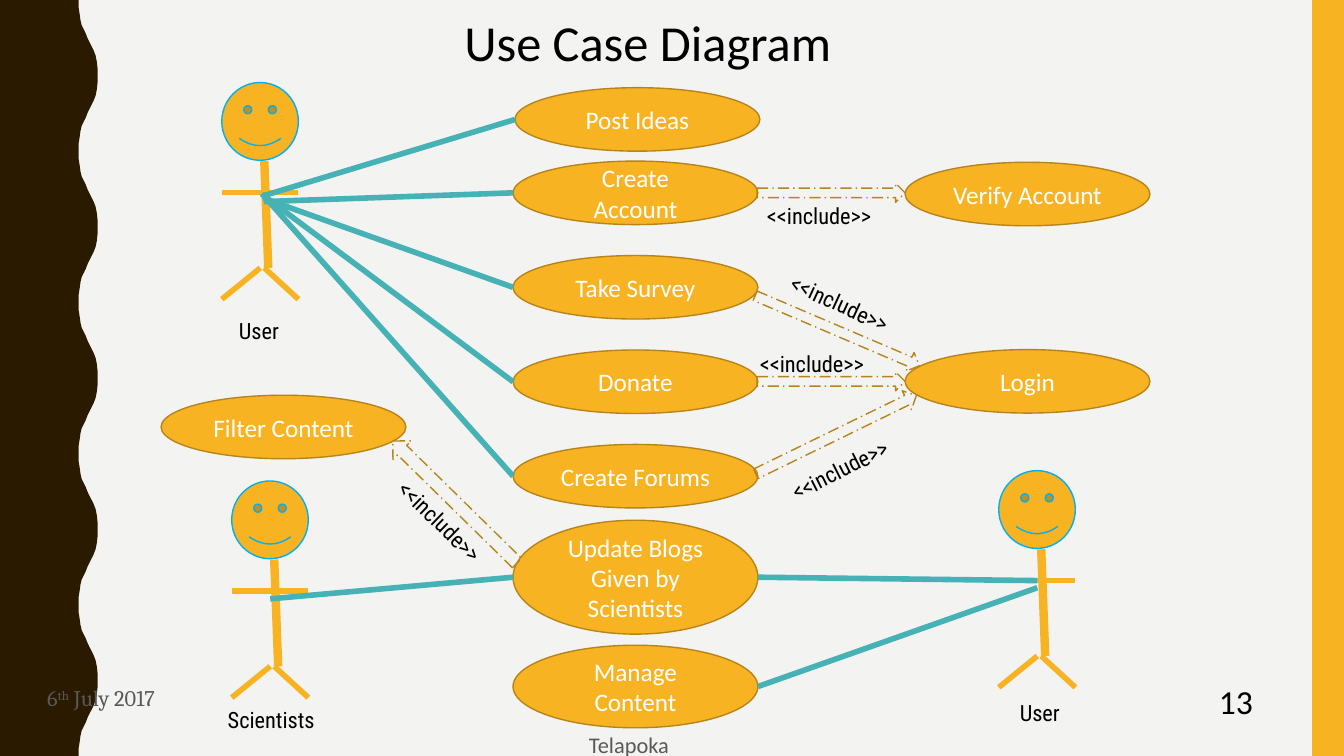
from pptx import Presentation
from pptx import util as u
from pptx.dml import color
from pptx.enum import dml, shapes, text
from pptx.oxml import xmlchemy

GOLD, RIM, TEAL, SKY = "F8B323", "B7841A", "46B2B5", "00B0F0"
BLACK, WHITE, GRAY, BROWN, PAPER = "000000", "FFFFFF", "595959", "2A1A00", "F3F3F2"
MAIN, NARROW, SERIF = "Calibri", "Roboto Condensed", "Cambria"
KIND = shapes.MSO_SHAPE
MID = text.PP_ALIGN.CENTER


def rgb(code):
    return color.RGBColor.from_string(code)


class Board:
    def __init__(self, deck):
        self.slide = deck.slides.add_slide(deck.slide_layouts[5])
        self.items = self.slide.shapes
        back = self.slide.background.fill
        back.solid()
        back.fore_color.rgb = rgb(PAPER)

    def style(self, item, fill=None, rim=None):
        item.shadow.inherit = False
        if fill:
            item.fill.solid()
            item.fill.fore_color.rgb = rgb(fill)
        else:
            item.fill.background()
        if rim:
            item.line.color.rgb = rgb(rim)
            item.line.width = u.Pt(1)
        else:
            item.line.fill.background()

    def letter(self, item, words, size, font, tint, align=None, wrap=True):
        frame = item.text_frame
        frame.text = words
        frame.word_wrap = wrap
        para = frame.paragraphs[0]
        para.alignment = align
        for run in para.runs:
            self.ink(run, size, font, tint)
        return para

    def ink(self, run, size, font, tint):
        run.font.size = u.Pt(size)
        run.font.name = font
        run.font.color.rgb = rgb(tint)

    def title(self, words, x, y, w, h):
        item = self.items.title
        item.left, item.top, item.width, item.height = map(u.Cm, (x, y, w, h))
        self.letter(item, words, 36, MAIN, BLACK, MID, False)

    def shape(self, kind, x, y, w, h, fill=None, rim=None):
        item = self.items.add_shape(kind, u.Cm(x), u.Cm(y), u.Cm(w), u.Cm(h))
        self.style(item, fill, rim)
        return item

    def wave(self):
        curve = [(1.98, 0), (1.98, 0.18), (2.01, 0.36), (2.03, 0.51), (2.06, 0.64),
                 (2.11, 0.74), (2.16, 0.84), (2.21, 0.97), (2.26, 1.07), (2.31, 1.17),
                 (2.36, 1.27), (2.41, 1.4), (2.44, 1.55), (2.46, 1.73), (2.46, 1.91)]
        full = curve + [(x, 3.81 - y) for x, y in curve[-2::-1]]
        edge = [(x, y + 3.81 * turn) for turn in range(5) for x, y in full]
        spots = [(u.Cm(x), u.Cm(y)) for x, y in edge + [(0, 19.05)]]
        form = self.items.build_freeform(0, 0)
        form.add_line_segments(spots, close=True)
        self.style(form.convert_to_shape(), BROWN)

    def oval(self, words, x, y, h=1.6):
        item = self.shape(KIND.OVAL, x, y, 6.17, h, GOLD, RIM)
        item.text_frame.vertical_anchor = text.MSO_ANCHOR.MIDDLE
        self.letter(item, words, 18, MAIN, WHITE, MID)
        return item

    def line(self, start, end, tint, width=4):
        item = self.items.add_connector(shapes.MSO_CONNECTOR.STRAIGHT, *start, *end)
        item.line.color.rgb = rgb(tint)
        item.line.width = u.Pt(width)
        glow = xmlchemy.OxmlElement("a:effectLst")
        item.line._get_or_add_ln().addnext(glow)

    def link(self, x, y, oval):
        hand = u.Cm(x), u.Cm(y)
        side = oval.left if hand[0] < oval.left else oval.left + oval.width
        self.line(hand, (side, oval.top + oval.height // 2), TEAL)

    def actor(self, x, y):
        self.shape(KIND.SMILEY_FACE, x, y, 1.93, 1.96, GOLD, SKY)
        limbs = [(1.07, 1.98, 1.17, 4.67, 6), (0, 2.77, 1.93, 2.77, 4),
                 (1.07, 4.67, 1.93, 5.46, 4), (0.97, 4.67, 0, 5.46, 4)]
        for x1, y1, x2, y2, width in limbs:
            self.line((u.Cm(x + x1), u.Cm(y + y1)), (u.Cm(x + x2), u.Cm(y + y2)),
                      GOLD, width)

    def arrow(self, x, y, w, h, turn):
        item = self.shape(KIND.RIGHT_ARROW, x, y, w, h, None, RIM)
        item.line.dash_style = dml.MSO_LINE.LONG_DASH_DOT
        item.rotation = turn

    def label(self, words, x, y, w, turn=0):
        item = self.items.add_textbox(u.Cm(x), u.Cm(y), u.Cm(w), u.Cm(0.94))
        item.rotation = turn
        self.letter(item, words, 16, NARROW, BLACK, wrap=False)

    def note(self, words, x, y, w, h, size, font, tint, align=None):
        item = self.items.add_textbox(u.Cm(x), u.Cm(y), u.Cm(w), u.Cm(h))
        item.text_frame.vertical_anchor = text.MSO_ANCHOR.MIDDLE
        return self.letter(item, words, size, font, tint, align)

    def date(self, day, mark, rest):
        para = self.note(day, 0.94, 17.22, 3.81, 0.74, 16, SERIF, GRAY)
        for words, lift in ((mark, "30000"), (rest, "0")):
            run = para.add_run()
            run.text = words
            self.ink(run, 16, SERIF, GRAY)
            run._r.get_or_add_rPr().set("baseline", lift)


def main():
    deck = Presentation()
    deck.slide_width, deck.slide_height = u.Cm(33.87), u.Cm(19.05)
    board = Board(deck)
    board.wave()
    board.shape(KIND.RECTANGLE, 33.07, 0, 0.8, 19.05, GOLD)
    board.title("Use Case Diagram", 11.23, 0.15, 10.19, 1.8)

    post = board.oval("Post Ideas", 12.98, 2.21)
    names = ["Create Account", "Take Survey", "Donate", "Create Forums"]
    tasks = [board.oval(name, 12.93, 4.06 + 2.38 * row)
             for row, name in enumerate(names)]
    blogs = board.oval("Update Blogs Given by Scientists", 12.93, 13.11, 2.87)
    manage = board.oval("Manage Content", 12.93, 16.26, 2.08)
    board.oval("Login", 22.81, 8.81)
    board.oval("Filter Content", 4.06, 9.96)
    board.oval("Verify Account", 22.81, 4.09)

    for spot in [(5.59, 2.08), (25.17, 11.86), (5.84, 12.12)]:
        board.actor(*spot)
    for name, x, y, w in [("User", 5.77, 7.87, 1.57), ("User", 25.45, 17.5, 1.57),
                          ("Scientists", 5.49, 17.68, 2.87)]:
        board.label(name, x, y, w)

    for spot in [(19.08, 9.37, 3.73, 0.48, 0), (18.82, 10.69, 4.5, 0.53, 334),
                 (18.85, 8.08, 4.5, 0.51, 23.1), (19.08, 4.62, 3.73, 0.48, 0),
                 (9.27, 12.32, 4.39, 0.66, 224.5)]:
        board.arrow(*spot)
    for x, y, turn in [(9.47, 12.8, 44.2), (19.58, 11.28, 333.2), (19.58, 7.26, 24.8),
                       (18.9, 8.71, 0), (19.08, 4.98, 0)]:
        board.label("<<include>>", x, y, 3.51, turn)

    hands = [(6.65, 4.93), (6.65, 5.08), (6.65, 5), (6.71, 4.98), (6.6, 4.88),
             (26.14, 14.63), (26.14, 14.81), (6.81, 15.09)]
    for (x, y), oval in zip(hands, [post, *tasks, blogs, manage, blogs]):
        board.link(x, y, oval)

    board.note("Telapoka", 10.49, 18.34, 10.72, 0.84, 16, MAIN, GRAY, MID)
    board.note("13", 29.67, 16.97, 2.95, 1.37, 24, MAIN, BLACK, MID)
    board.date("6", "th", " July 2017")
    deck.save("out.pptx")


if __name__ == "__main__":
    main()
